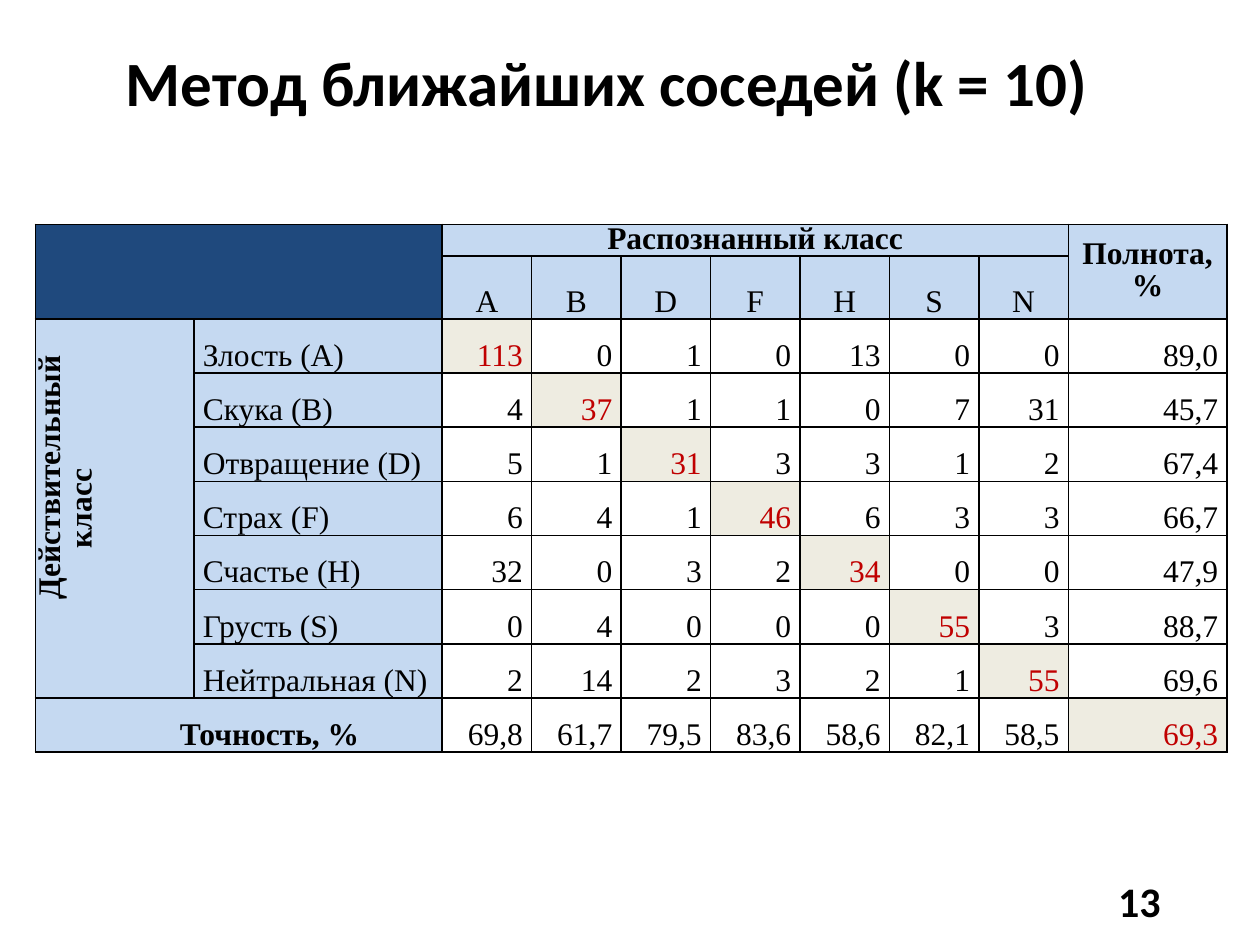
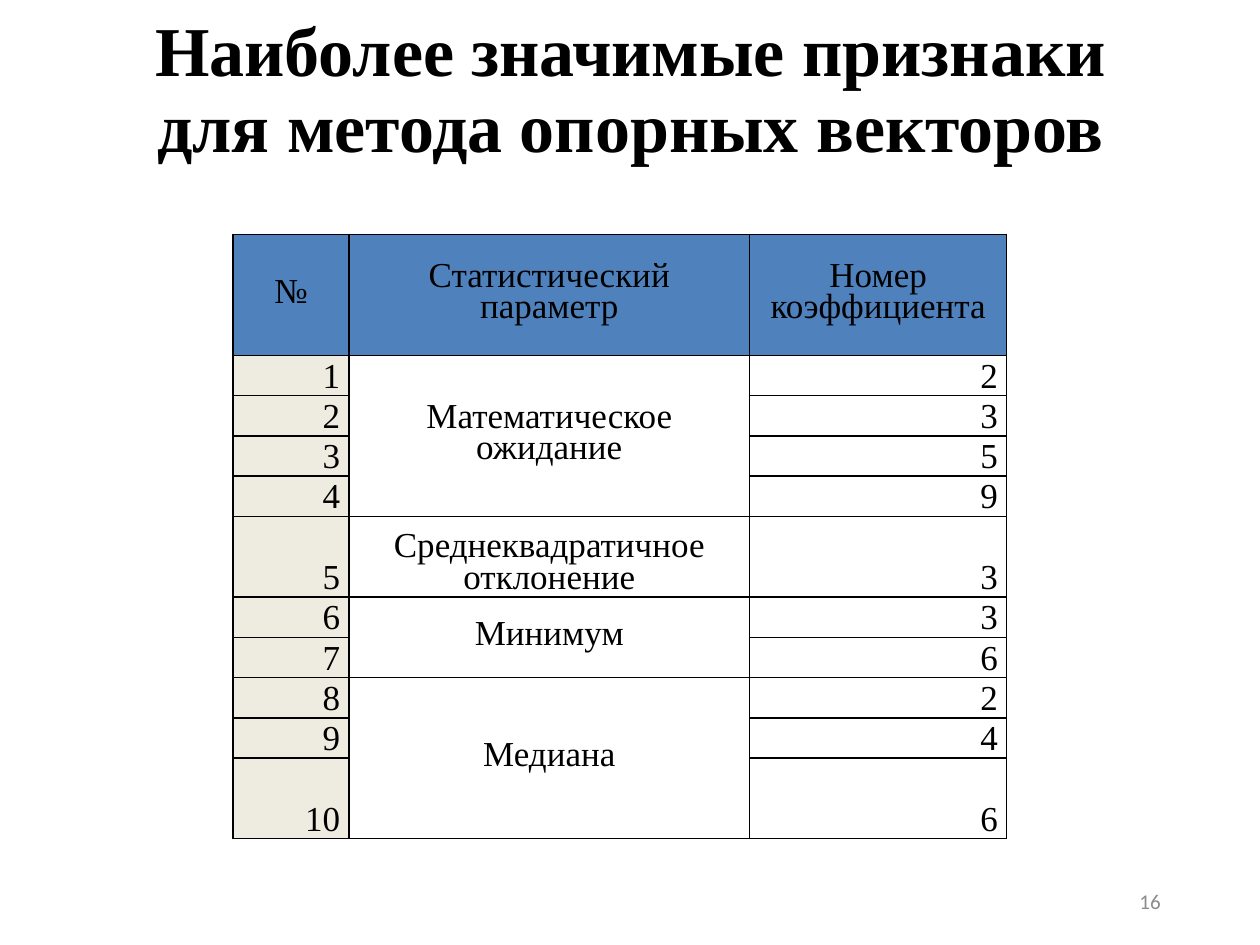
from lxml import etree
from pptx import Presentation
from pptx.dml.color import RGBColor
from pptx.enum.text import MSO_ANCHOR, PP_ALIGN
from pptx.oxml.ns import qn
from pptx.util import Inches, Pt

LEFT, CENTER, RIGHT = PP_ALIGN.LEFT, PP_ALIGN.CENTER, PP_ALIGN.RIGHT
MIDDLE, BOTTOM = MSO_ANCHOR.MIDDLE, MSO_ANCHOR.BOTTOM
SANS, SERIF = "Calibri", "Times New Roman"
COLORS = {
    "text": "000000", "muted": "8C8C8C", "accent": "C00000",
    "navy": "1F497D", "blue": "4F81BD", "pale": "C5D9F1", "beige": "EEECE1",
}

CLASS_NAMES = ["Злость (A)", "Скука (B)", "Отвращение (D)", "Страх (F)",
               "Счастье (H)", "Грусть (S)", "Нейтральная (N)"]
CONFUSION = [
    ["113", "0", "1", "0", "13", "0", "0"],
    ["4", "37", "1", "1", "0", "7", "31"],
    ["5", "1", "31", "3", "3", "1", "2"],
    ["6", "4", "1", "46", "6", "3", "3"],
    ["32", "0", "3", "2", "34", "0", "0"],
    ["0", "4", "0", "0", "0", "55", "3"],
    ["2", "14", "2", "3", "2", "1", "55"],
]
RECALL = ["89,0", "45,7", "67,4", "66,7", "47,9", "88,7", "69,6"]
PRECISION = ["69,8", "61,7", "79,5", "83,6", "58,6", "82,1", "58,5"]
TOTAL_ACCURACY = "69,3"

FEATURE_HEADERS = ["№", "Статистический параметр", "Номер коэффициента"]
FEATURES = [
    ("Математическое ожидание", ["2", "3", "5", "9"]),
    ("Среднеквадратичное отклонение", ["3"]),
    ("Минимум", ["3", "6"]),
    ("Медиана", ["2", "4", "6"]),
]


def color(name):
    return RGBColor.from_string(COLORS[name])


class DeckBuilder:
    def __init__(self):
        self.deck = Presentation()
        self.deck.slide_width, self.deck.slide_height = Inches(10), Inches(7.5)
        self.page = None
        self.table = None
        self.table_size = None

    def new_page(self):
        self.page = self.deck.slides.add_slide(self.deck.slide_layouts[6])

    def add_span(self, para, text, size, font, bold=False, ink="text"):
        span = para.add_run()
        span.text = text
        span.font.size, span.font.name, span.font.bold = Pt(size), font, bold
        span.font.color.rgb = color(ink)

    def text_box(self, area, text, align, size, font, bold=True, ink="text", spacing=1.0):
        box = self.page.shapes.add_textbox(*map(Inches, area))
        frame = box.text_frame
        frame.word_wrap = True
        frame.vertical_anchor = MIDDLE
        para = frame.paragraphs[0]
        para.alignment, para.line_spacing = align, spacing
        self.add_span(para, text, size, font, bold, ink)

    def title(self, area, text, size, font):
        self.text_box(area, text, CENTER, size, font, spacing=0.9)

    def page_number(self, text, size, bold, ink):
        self.text_box((7.06, 6.95, 2.25, 0.4), text, RIGHT, size, SANS, bold, ink)

    def start_table(self, left, top, widths, heights, size):
        """Add a bordered table without fills; later cells use the given text size."""
        frame = self.page.shapes.add_table(
            len(heights), len(widths), Inches(left), Inches(top),
            Inches(sum(widths)), Inches(sum(heights)))
        self.table, self.table_size = frame.table, size
        self.table.first_row = self.table.horz_banding = False
        for column, width in zip(self.table.columns, widths):
            column.width = Inches(width)
        for row, height in zip(self.table.rows, heights):
            row.height = Inches(height)
        for cell in self.table.iter_cells():
            self.border(cell)
            cell.fill.background()
            cell.margin_left = cell.margin_right = Inches(0.07)
            cell.margin_top = cell.margin_bottom = 0
            para = cell.text_frame.paragraphs[0]
            para.line_spacing = Pt(18)

    def border(self, cell):
        properties = cell._tc.get_or_add_tcPr()
        for side in ("a:lnL", "a:lnR", "a:lnT", "a:lnB"):
            line = etree.SubElement(properties, qn(side), w=str(Pt(1)))
            fill = etree.SubElement(line, qn("a:solidFill"))
            etree.SubElement(fill, qn("a:srgbClr"), val=COLORS["text"])

    def cell(self, row, column, text="", align=RIGHT, anchor=BOTTOM, fill=None,
             bold=False, ink="text", rows=1, columns=1, indent=0, vertical=False):
        cell = self.table.cell(row, column)
        if rows > 1 or columns > 1:
            cell.merge(self.table.cell(row + rows - 1, column + columns - 1))
        if fill:
            cell.fill.solid()
            cell.fill.fore_color.rgb = color(fill)
        cell.vertical_anchor = anchor
        if vertical:
            cell._tc.get_or_add_tcPr().set("vert", "vert270")
        para = cell.text_frame.paragraphs[0]
        para.alignment = align
        if indent:
            para_properties = para._p.get_or_add_pPr()
            para_properties.set("marL", "0")
            para_properties.set("indent", str(Inches(indent)))
        if text:
            self.add_span(para, text, self.table_size, SERIF, bold, ink)


def add_neighbours_page(builder):
    builder.new_page()
    builder.title((0.01, -0.02, 9.61, 1.41), "Метод ближайших соседей (k = 10)", 36, SANS)
    builder.page_number("13", 24, True, "text")

    count = len(CLASS_NAMES)
    last_row, last_column = count + 2, count + 2
    builder.start_table(0.28, 1.78, [1.26, 1.97] + [0.71] * count + [1.26],
                        [0.25, 0.5] + [0.43] * (count + 1), 18)
    heading = {"align": CENTER, "fill": "pale", "bold": True}
    highlight = {"fill": "beige", "ink": "accent"}
    builder.cell(0, 0, fill="navy", rows=2, columns=2)
    builder.cell(0, 2, "Распознанный класс", columns=count, **heading)
    builder.cell(0, last_column, "Полнота, %", anchor=MIDDLE, rows=2, **heading)
    builder.cell(2, 0, "Действительный класс", rows=count, indent=0.49,
                 vertical=True, **heading)
    builder.cell(last_row, 0, "Точность, %", columns=2, indent=0.49, **heading)

    for index, name in enumerate(CLASS_NAMES):
        letter = name[-2]
        builder.cell(1, index + 2, letter, CENTER, fill="pale")
        builder.cell(index + 2, 1, name, LEFT, fill="pale")
        for predicted, value in enumerate(CONFUSION[index]):
            look = highlight if predicted == index else {}
            builder.cell(index + 2, predicted + 2, value, **look)
        builder.cell(index + 2, last_column, RECALL[index])
        builder.cell(last_row, index + 2, PRECISION[index])
    builder.cell(last_row, last_column, TOTAL_ACCURACY, **highlight)


def add_features_page(builder):
    builder.new_page()
    builder.title((0.72, 0, 8.57, 1.46),
                  "Наиболее значимые признаки для метода опорных векторов", 40, SERIF)
    line = 0.32
    row_lines = [3, 1, 1, 1, 1, 2, 1, 1, 1, 1, 2]
    builder.start_table(1.85, 1.86, [0.92, 3.18, 2.04],
                        [line * lines for lines in row_lines], 20)
    for column, header in enumerate(FEATURE_HEADERS):
        builder.cell(0, column, header, CENTER, MIDDLE, "blue")
    row = 1
    for parameter, coefficients in FEATURES:
        span = len(coefficients)
        builder.cell(row, 1, parameter, CENTER, MIDDLE if span > 1 else BOTTOM, rows=span)
        for coefficient in coefficients:
            builder.cell(row, 0, str(row), fill="beige")
            builder.cell(row, 2, coefficient)
            row += 1
    builder.page_number("16", 12, False, "muted")


def main():
    builder = DeckBuilder()
    add_neighbours_page(builder)
    add_features_page(builder)
    builder.deck.save("out.pptx")


if __name__ == "__main__":
    main()
